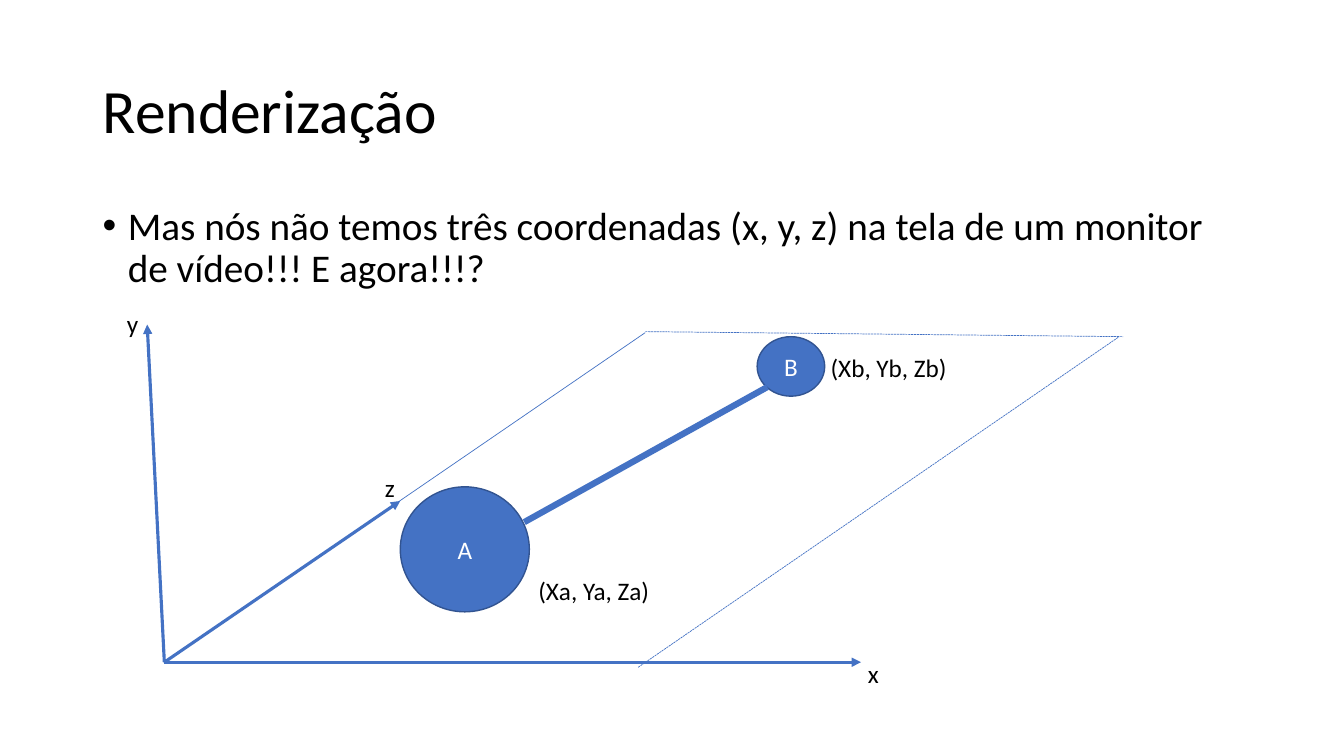
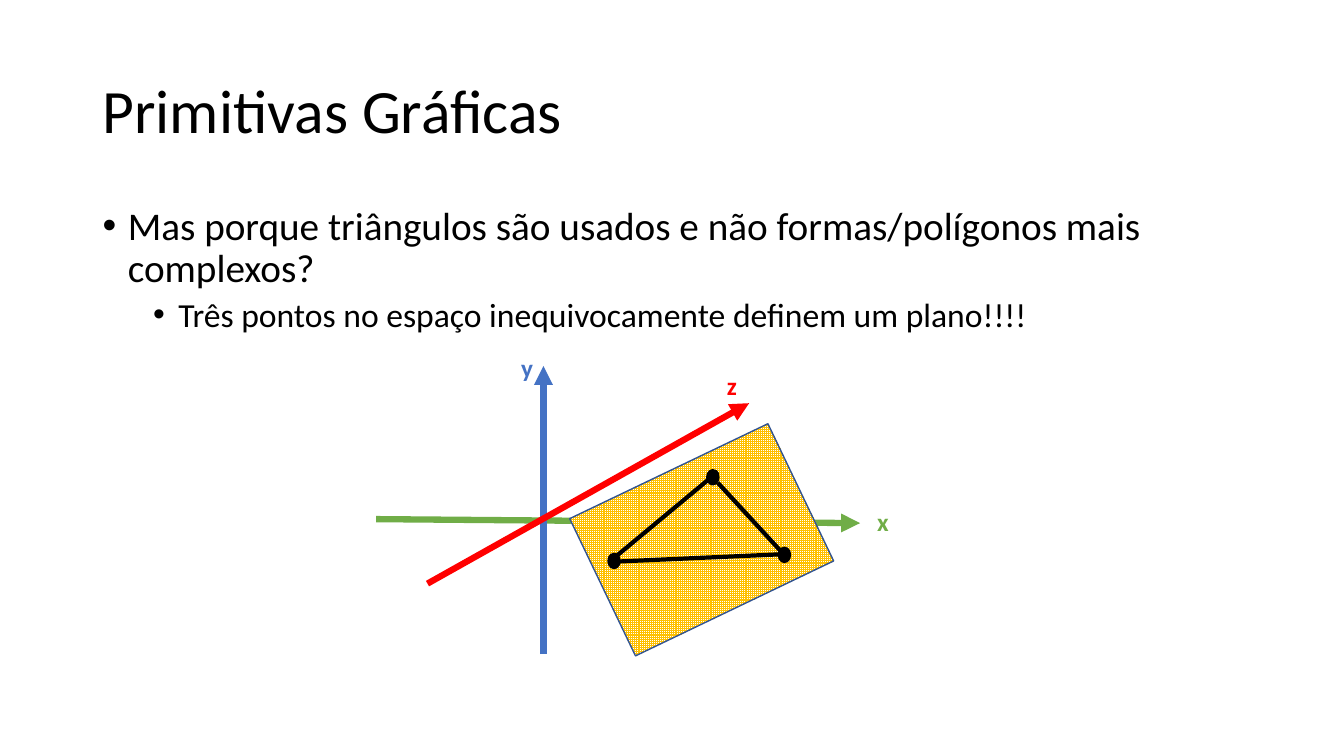
import pptx
import pptx.dml.color
import pptx.enum.dml
import pptx.enum.shapes
import pptx.enum.text
import pptx.oxml.ns
import pptx.util
from lxml import etree

Inches = pptx.util.Inches
Pt = pptx.util.Pt
qn = pptx.oxml.ns.qn
SHAPE = pptx.enum.shapes.MSO_SHAPE
MIDDLE = pptx.enum.text.MSO_ANCHOR.MIDDLE

COLORS = {
    "text": "000000",
    "white": "FFFFFF",
    "blue": "4472C4",
    "edge": "325491",
    "green": "70AD47",
    "red": "FF0000",
    "gold": "FFC000",
}


def rgb(name):
    return pptx.dml.color.RGBColor.from_string(COLORS[name])


class Deck:
    """Holds the shared style and the slide being drawn."""

    face = "Calibri"
    levels = ((0.25, 28, 10), (0.75, 24, 5))  # indent, size, space before

    def __init__(self):
        self.prs = pptx.Presentation()
        self.prs.slide_width = Inches(13.33)
        self.prs.slide_height = Inches(7.5)
        self.slide = None

    def start(self, title):
        self.slide = self.prs.slides.add_slide(self.prs.slide_layouts[6])
        frame = self.frame(0.92, 0.4, 11.5, 1.45)
        frame.vertical_anchor = MIDDLE
        para = frame.paragraphs[0]
        para.text = title
        para.line_spacing = 0.9
        self.style(para, 44)

    def frame(self, x, y, w, h, wrap=True):
        box = self.slide.shapes.add_textbox(Inches(x), Inches(y), Inches(w), Inches(h))
        box.text_frame.word_wrap = wrap
        return box.text_frame

    def style(self, para, size, color="text", bold=False):
        para.font.name = self.face
        para.font.size = Pt(size)
        para.font.bold = bold
        para.font.color.rgb = rgb(color)

    def body(self, *items):
        """Write bulleted text, each item one level below the one before."""
        frame = self.frame(0.92, 2, 11.5, 4.76)
        for level, (text, (left, size, space)) in enumerate(zip(items, self.levels)):
            para = frame.add_paragraph() if level else frame.paragraphs[0]
            para.text = text
            para.level = level
            props = para._p.get_or_add_pPr()
            props.set("marL", str(Inches(left)))
            props.set("indent", str(Inches(-0.25)))
            etree.SubElement(props, qn("a:buFont")).set("typeface", "Arial")
            etree.SubElement(props, qn("a:buChar")).set("char", "•")
            para.line_spacing = 0.9
            if level:
                para.space_before = Pt(space)
            self.style(para, size)

    def label(self, text, x, y, w=0.32, color="text", bold=False):
        para = self.frame(x, y, w, 0.4, wrap=False).paragraphs[0]
        para.text = text
        self.style(para, 18, color, bold)

    def shape(self, kind, x, y, w, h, fill, edge):
        item = self.slide.shapes.add_shape(kind, Inches(x), Inches(y), Inches(w), Inches(h))
        item.shadow.inherit = False
        item.fill.solid()
        item.fill.fore_color.rgb = rgb(fill)
        item.line.color.rgb = rgb(edge)
        item.line.width = Pt(1)
        return item

    def ball(self, text, x, y, w, h):
        item = self.shape(SHAPE.OVAL, x, y, w, h, "blue", "edge")
        item.text_frame.vertical_anchor = MIDDLE
        para = item.text_frame.paragraphs[0]
        para.text = text
        para.alignment = pptx.enum.text.PP_ALIGN.CENTER
        self.style(para, 18, "white")

    def plane(self, x, y, w, h, angle):
        item = self.shape(SHAPE.RECTANGLE, x, y, w, h, "gold", "edge")
        item.rotation = angle
        item.fill.patterned()
        item.fill.pattern = pptx.enum.dml.MSO_PATTERN.SMALL_GRID
        item.fill.fore_color.rgb = rgb("gold")
        item.fill.back_color.rgb = rgb("white")

    def line(self, start, end, width, color="blue", dash=False, arrow=False):
        points = [Inches(n) for n in (*start, *end)]
        kind = pptx.enum.shapes.MSO_CONNECTOR.STRAIGHT
        item = self.slide.shapes.add_connector(kind, *points)
        item.line.color.rgb = rgb(color)
        item.line.width = Pt(width)
        if dash:
            item.line.dash_style = pptx.enum.dml.MSO_LINE.SQUARE_DOT
        if arrow:
            tail = etree.SubElement(item.line._get_or_add_ln(), qn("a:tailEnd"))
            tail.set("type", "triangle")
        etree.SubElement(item._element.spPr, qn("a:effectLst"))


def render(deck):
    deck.start("Renderização")
    deck.body("Mas nós não temos três coordenadas (x, y, z) na tela de um monitor "
              "de vídeo!!! E agora!!!?")
    deck.ball("A", 3.97, 4.83, 1.28, 1.24)
    deck.ball("B", 7.51, 3.34, 0.67, 0.59)
    deck.line((5.2, 5.18), (7.61, 3.84), 4.5)

    origin = (1.63, 6.57)
    for end in ((7.83, 6.57), (6.4, 3.3)):
        deck.line(origin, end, 0.5)
    deck.line((6.33, 6.62), (11.1, 3.34), 0.5, dash=True)
    deck.line((6.4, 3.29), (11.14, 3.34), 0.5, dash=True)
    for end in ((1.46, 3.22), (8.54, 6.57), (3.97, 4.97)):
        deck.line(origin, end, 2.25, arrow=True)

    deck.label("x", 8.51, 6.48)
    deck.label("y", 1.16, 3.01)
    deck.label("z", 3.72, 4.64, 0.3)
    deck.label("(Xa, Ya, Za)", 5.24, 5.66, 1.31)
    deck.label("(Xb, Yb, Zb)", 8.14, 3.45, 1.36)


def shapes(deck):
    deck.start("Primitivas Gráficas")
    deck.body("Mas porque triângulos são usados e não formas/polígonos mais complexos?",
              "Três pontos no espaço inequivocamente definem um plano!!!!")
    deck.line((3.73, 5.15), (8.53, 5.19), 4.5, "green", arrow=True)
    deck.plane(5.87, 4.6, 2.18, 1.51, 334.4)
    deck.line((5.39, 6.49), (5.39, 3.63), 4.5, arrow=True)
    deck.line((4.24, 5.79), (7.43, 4), 4.5, "red", arrow=True)

    for x, y in ((6.03, 5.49), (7.01, 4.66), (7.72, 5.43)):
        deck.shape(SHAPE.OVAL, x, y, 0.12, 0.15, "text", "text")
    sides = (
        ((6.11, 5.52), (7.12, 4.68)),
        ((7.12, 4.79), (7.82, 5.55)),
        ((6.15, 5.57), (7.72, 5.5)),
    )
    for start, end in sides:
        deck.line(start, end, 3, "text")

    for text, x, y, color in (("x", 8.6, 4.97, "green"), ("y", 5.07, 3.45, "blue"),
                              ("z", 7.11, 3.62, "red")):
        deck.label(text, x, y, color=color, bold=True)


def main():
    deck = Deck()
    render(deck)
    shapes(deck)
    deck.prs.save("out.pptx")


if __name__ == "__main__":
    main()
